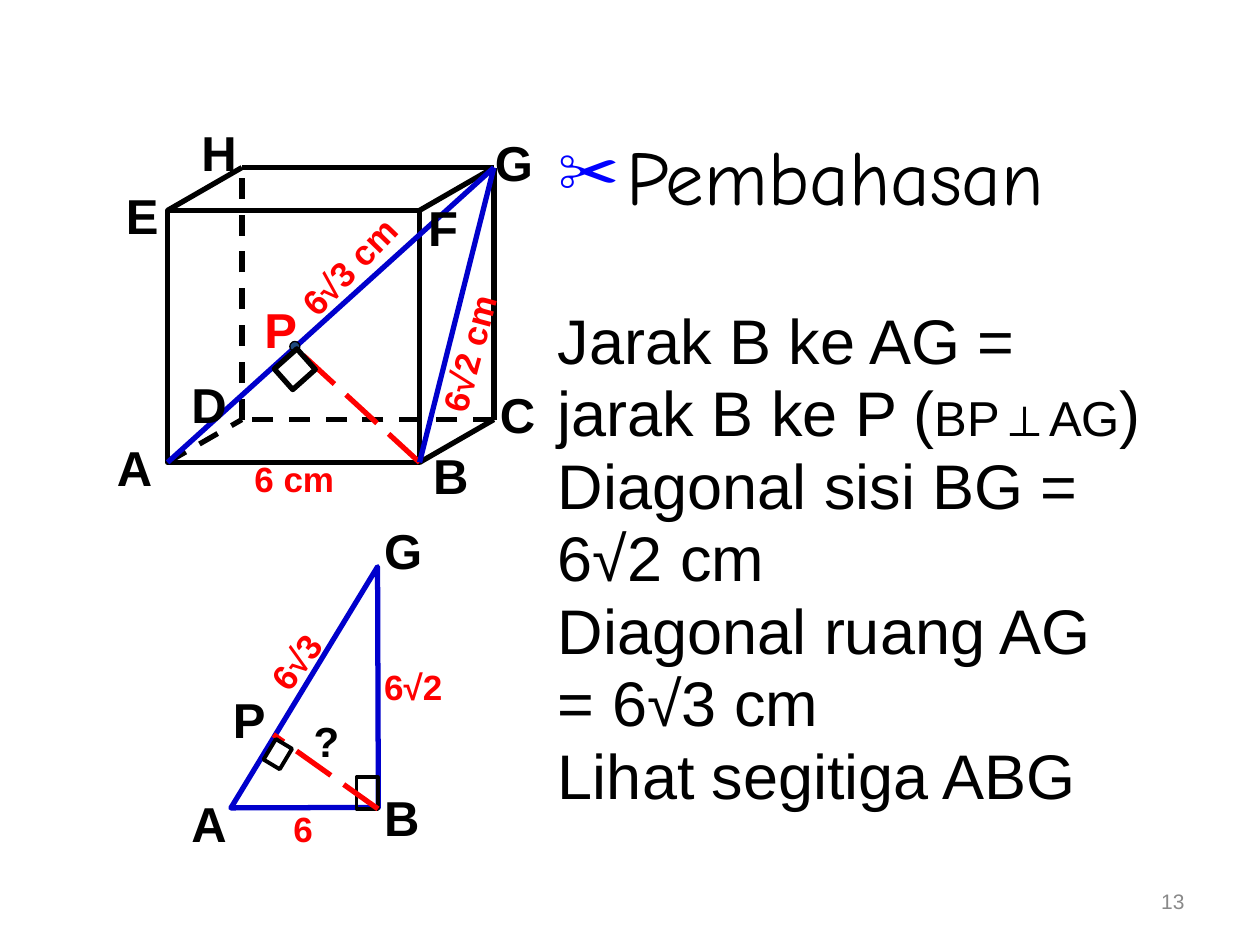
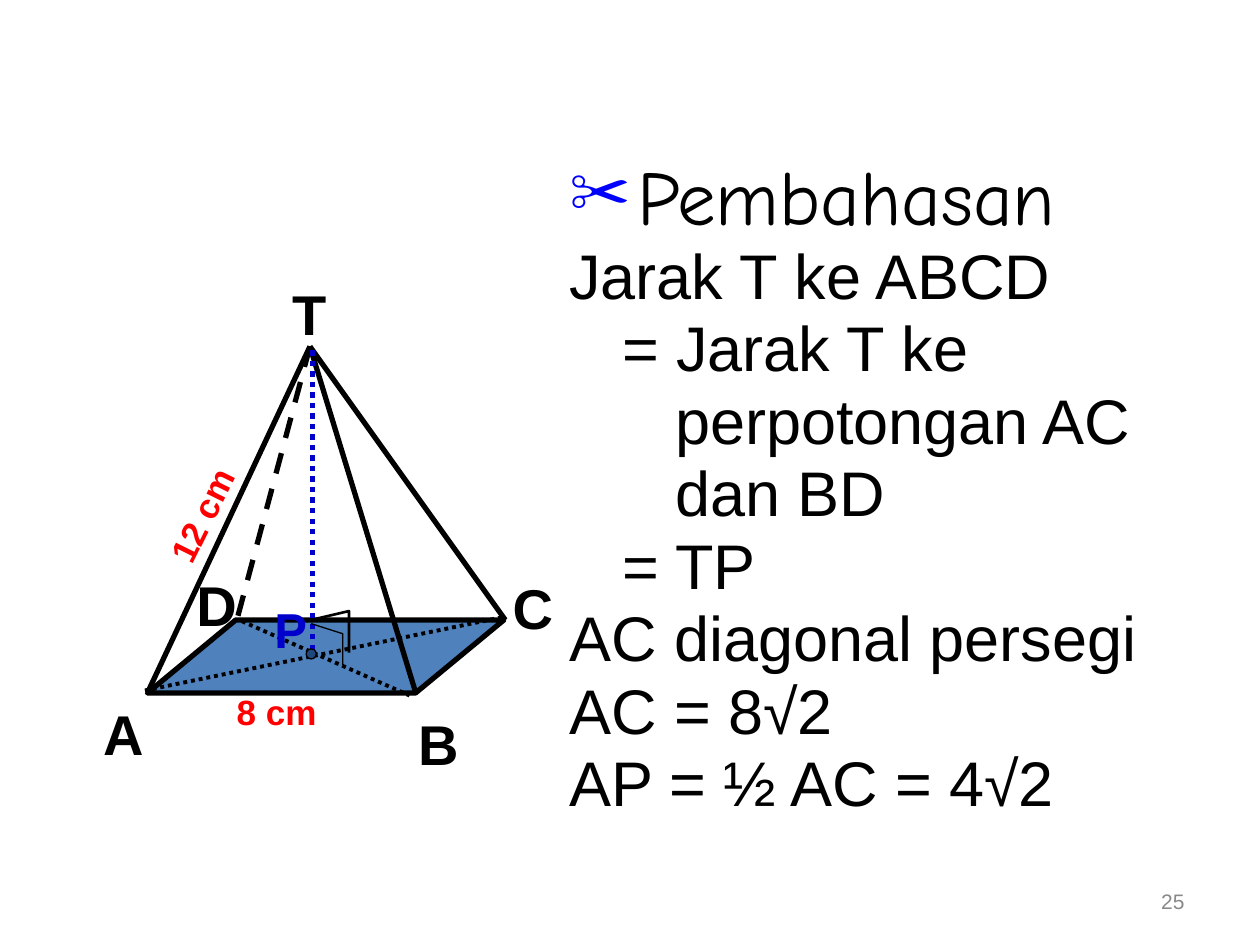
from lxml import etree
from pptx import Presentation
from pptx import util as u
from pptx.dml import color, line
from pptx.enum import dml, shapes, text
from pptx.oxml import ns

COLORS = {"ink": "000000", "blue": "0000CC", "red": "FF0000", "scissors": "0000FF",
          "base": "4F81BD", "dot": "1F497D", "number": "898989"}
DASHES = {"dash": dml.MSO_LINE.DASH, "long": dml.MSO_LINE.LONG_DASH,
          "dots": dml.MSO_LINE.ROUND_DOT}
KINDS = {"rect": shapes.MSO_SHAPE.RECTANGLE, "oval": shapes.MSO_SHAPE.OVAL,
         "right triangle": shapes.MSO_SHAPE.RIGHT_TRIANGLE,
         "parallelogram": shapes.MSO_SHAPE.PARALLELOGRAM}
HEADING = "Pembahasan"
DOT = 0.08

SIDE, DEPTH_X, DEPTH_Y = 2, 0.59, -0.34
CUBE = {"A": (1.33, 3.67)}
CUBE["B"] = (CUBE["A"][0] + SIDE, CUBE["A"][1])
for low, high in ("AE", "BF"):
    CUBE[high] = (CUBE[low][0], CUBE[low][1] - SIDE)
for front, back in ("AD", "BC", "EH", "FG"):
    CUBE[back] = (CUBE[front][0] + DEPTH_X, CUBE[front][1] + DEPTH_Y)
CUBE["P"] = (2.33, 2.75)

PYRAMID = {"A": (1.17, 5.5), "B": (3.3, 5.5), "C": (4.01, 4.92), "D": (1.88, 4.92),
           "T": (2.46, 2.75)}


def edges(points, names, color_name="ink", width=3, dash=None):
    return [(points[a], points[b], color_name, width, dash) for a, b in names.split()]


SLIDES = [
    {
        "number": 13,
        "body": (4.33, 1.17, 4.92, 5.31),
        "first_gap": 57.5,
        "lines": [(0, [("Jarak B ke AG =", 36)]),
                  (0, [("jarak B ke P (", 36), ("BP⊥AG", 28), (")", 36)]),
                  (0, [("Diagonal sisi BG =", 36)]),
                  (0, [("6√2 cm", 36)]),
                  (0, [("Diagonal ruang AG", 36)]),
                  (0, [("= 6√3 cm", 36)]),
                  (0, [("Lihat segitiga ABG", 36)])],
        "solids": [("rect", (*CUBE["E"], SIDE, SIDE), 0, None, "ink", 3),
                   ("right triangle", (1.83, 4.5, 1.17, 1.91), 359.8, None, "blue", 3),
                   ("rect", (2.83, 6.17, 0.17, 0.25), 0, None, "ink", 2.25)],
        "edges": edges(CUBE, "EH FG BC CG GH")
                 + edges(CUBE, "AD DH CD", dash="dash")
                 + edges(CUBE, "AG", "blue")
                 + edges(CUBE, "BP", "red", dash="long")
                 + edges(CUBE, "BG", "blue")
                 + [((3, 6.42), (2.17, 5.83), "red", 3, "long")],
        "marks": [("oval", (2.3, 2.71, DOT, DOT), 0, "dot", "ink", 0.75),
                  ("rect", (2.22, 2.82, 0.24, 0.22), 318.3, None, "ink", 3),
                  ("rect", (2.11, 5.91, 0.19, 0.15), 301, None, "ink", 2.25)],
        "corners": [],
        "labels": [
            (28, "ink", [("A", 0.83, 3.42, 0.5, 0), ("B", 3.34, 3.49, 0.5, 0),
                         ("C", 3.87, 3, 0.5, 0), ("D", 1.42, 2.92, 0.5, 0),
                         ("H", 1.5, 0.92, 0.5, 0), ("E", 0.9, 1.42, 0.5, 0),
                         ("F", 3.3, 1.52, 0.5, 0), ("G", 3.83, 1, 0.5, 0),
                         ("A", 1.42, 6.25, 0.5, 0), ("B", 2.95, 6.2, 0.5, 0),
                         ("G", 2.95, 4.08, 0.5, 0), ("P", 1.75, 5.42, 0.5, 0)]),
            (28, "red", [("P", 2, 2.33, 0.5, 0)]),
            (24, "ink", [("?", 2.39, 5.63, 0.5, 0)]),
            (20, "red", [("6√2 cm", 3.09, 2.51, 1.3, 285), ("6 cm", 1.92, 3.58, 1.08, 0),
                         ("6√3 cm", 2.19, 1.87, 1.2, 314.1), ("6√3", 2, 5, 0.75, 307.2),
                         ("6", 2.23, 6.36, 0.33, 0), ("6√2", 2.95, 5.23, 0.67, 0)])],
    },
    {
        "number": 25,
        "body": (4.42, 1.33, 5, 5.79),
        "first_gap": 9,
        "lines": [(0, [("Jarak T ke ABCD", 36)]),
                  (1, [("= Jarak T ke", 36)]),
                  (2, [("perpotongan AC", 36)]),
                  (2, [("dan BD", 36)]),
                  (1, [("= TP", 36)]),
                  (0, [("AC diagonal persegi", 36)]),
                  (0, [("AC = 8√2", 36)]),
                  (0, [("AP = ½ AC = 4√2", 36)])],
        "solids": [("parallelogram", (1.17, 4.92, 2.83, 0.58), 0, "base", "ink", 3)],
        "edges": edges(PYRAMID, "TA TB TC")
                 + edges(PYRAMID, "TD", dash="dash")
                 + [((2.48, 2.78), (2.48, 5.2), "blue", 3, "dots"),
                    ((1.15, 5.48), (3.98, 4.9), "ink", 2.25, "dots"),
                    ((1.92, 4.93), (3.25, 5.52), "ink", 2.25, "dots")],
        "marks": [("oval", (2.43, 5.15, DOT, DOT), 0, "dot", "ink", 0.75)],
        "corners": [([(2.43, 4.93), (2.77, 4.85), (2.77, 5.18)], 1.5),
                    ([(2.47, 4.95), (2.72, 5.03), (2.72, 5.28)], 0.75)],
        "labels": [
            (32, "ink", [("T", 2.22, 2.17, 0.5, 0), ("C", 3.97, 4.5, 0.5, 0),
                         ("A", 0.72, 5.5, 0.5, 0), ("B", 3.22, 5.58, 0.5, 0),
                         ("D", 1.46, 4.48, 0.5, 0)]),
            (28, "blue", [("P", 2.08, 4.71, 0.47, 0)]),
            (20, "red", [("8 cm", 1.78, 5.43, 1.08, 0),
                         ("12 cm", 1.08, 3.83, 1.08, 296.4)])],
    },
]


def rgb(name):
    return color.RGBColor.from_string(COLORS[name])


def inches(values):
    return [u.Inches(v) for v in values]


def style_run(r, size, color_name="ink", font="Arial", bold=False):
    r.font.size, r.font.name, r.font.bold = u.Pt(size), font, bold
    r.font.color.rgb = rgb(color_name)


def style_line(ln, color_name, width, dash=None):
    ln.color.rgb = rgb(color_name)
    ln.width = u.Pt(width)
    if dash:
        ln.dash_style = DASHES[dash]


def add_text(s, box, words, size, color_name, rotation=0, bold=False):
    sp = s.shapes.add_textbox(*inches(box))
    sp.rotation = rotation
    tf = sp.text_frame
    tf.word_wrap = True
    tf.text = words
    style_run(tf.paragraphs[0].runs[0], size, color_name, bold=bold)
    return sp


def add_bullet(p, indent):
    pPr = p._p.get_or_add_pPr()
    pPr.set("marL", str(u.Inches(indent)))
    pPr.set("indent", str(-u.Inches(indent)))
    clr = etree.SubElement(pPr, ns.qn("a:buClr"))
    etree.SubElement(clr, ns.qn("a:srgbClr")).set("val", COLORS["scissors"])
    etree.SubElement(pPr, ns.qn("a:buSzPct")).set("val", "80000")
    etree.SubElement(pPr, ns.qn("a:buFont")).set("typeface", "Arial")
    etree.SubElement(pPr, ns.qn("a:buChar")).set("char", "✂")


def add_body(s, box, lines, first_gap):
    tf = add_text(s, box, HEADING, 44, "ink").text_frame
    p = tf.paragraphs[0]
    add_bullet(p, 0.54)
    p.line_spacing = 0.7
    p.runs[0].font.name = "Comic Neue"
    for i, (level, pieces) in enumerate(lines):
        p = tf.add_paragraph()
        p._p.get_or_add_pPr().set("marL", str(u.Inches(0.42 * level)))
        p.line_spacing = 0.75
        p.space_before = u.Pt(9 if i else first_gap)
        for words, size in pieces:
            r = p.add_run()
            r.text = words
            style_run(r, size)


def add_figure(s, kind, box, rotation, fill, color_name, width):
    sp = s.shapes.add_shape(KINDS[kind], *inches(box))
    sp.shadow.inherit = False
    sp.rotation = rotation
    if kind == "right triangle":
        sp._element.spPr.get_or_add_xfrm().set("flipH", "1")
    if kind == "parallelogram":
        sp.adjustments[0] = 1.21
    if fill:
        sp.fill.solid()
        sp.fill.fore_color.rgb = rgb(fill)
    else:
        sp.fill.background()
    style_line(sp.line, color_name, width)


def add_edge(s, start, end, color_name, width, dash):
    sp = s.shapes.add_connector(shapes.MSO_CONNECTOR.STRAIGHT, *inches(start + end))
    style_line(sp.line, color_name, width, dash)
    etree.SubElement(sp._element.spPr, ns.qn("a:effectLst"))


def add_corner(s, points, width):
    start, *rest = [inches(point) for point in points]
    fb = s.shapes.build_freeform(*start)
    fb.add_line_segments(rest, close=False)
    sp = fb.convert_to_shape()
    sp.shadow.inherit = False
    sp.fill.background()
    style_line(sp.line, "ink", width)


def add_number(s, number):
    sp = add_text(s, (7.17, 6.95, 2.33, 0.4), str(number), 12, "number")
    sp.text_frame.vertical_anchor = text.MSO_ANCHOR.MIDDLE
    sp.text_frame.paragraphs[0].alignment = text.PP_ALIGN.RIGHT


def build_slide(prs, content):
    s = prs.slides.add_slide(prs.slide_layouts[6])
    add_number(s, content["number"])
    add_body(s, content["body"], content["lines"], content["first_gap"])
    for solid in content["solids"]:
        add_figure(s, *solid)
    for edge in content["edges"]:
        add_edge(s, *edge)
    for mark in content["marks"]:
        add_figure(s, *mark)
    for corner in content["corners"]:
        add_corner(s, *corner)
    for size, color_name, labels in content["labels"]:
        height = 0.1 + size * 1.2 / 72
        for words, left, top, width, rotation in labels:
            add_text(s, (left, top, width, height), words, size, color_name, rotation, True)


def main():
    prs = Presentation()
    prs.slide_width, prs.slide_height = inches((10, 7.5))
    for content in SLIDES:
        build_slide(prs, content)
    prs.save("out.pptx")


if __name__ == "__main__":
    main()
